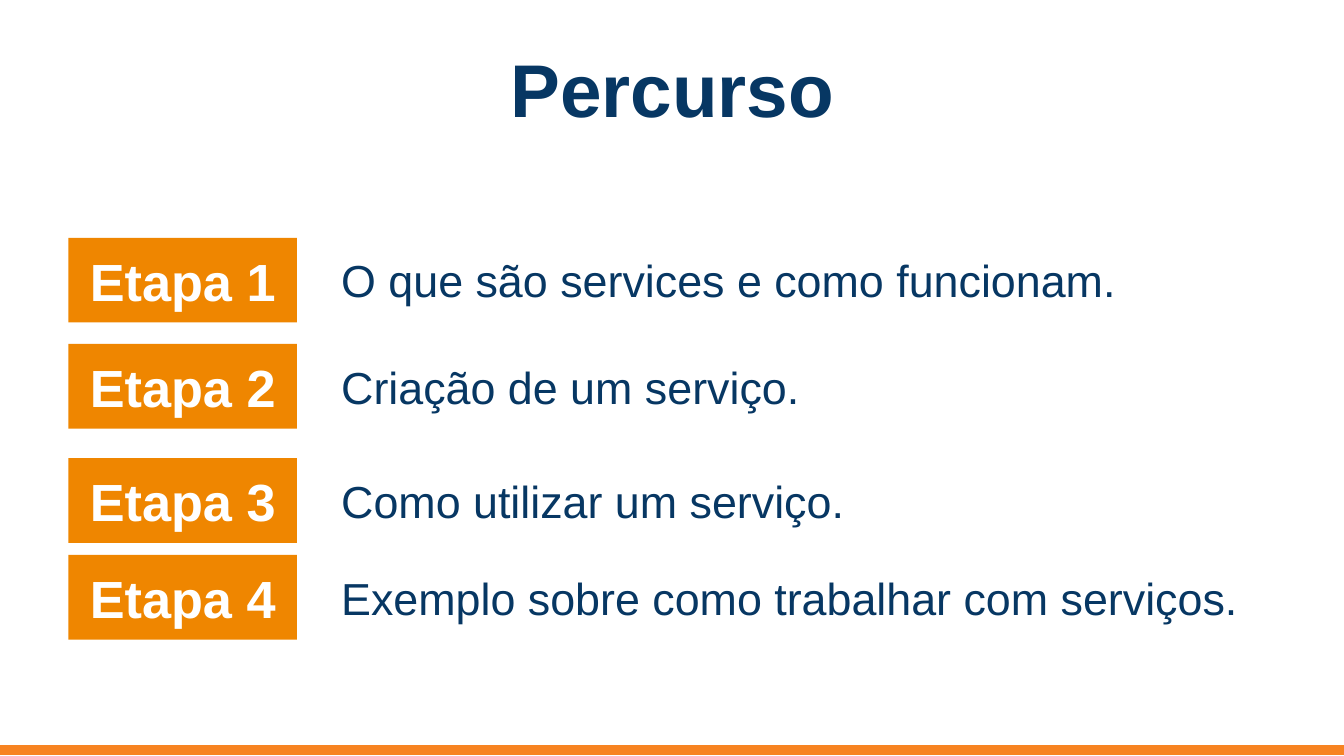
from pptx import Presentation
from pptx.dml.color import RGBColor
from pptx.enum.shapes import MSO_SHAPE
from pptx.enum.text import MSO_ANCHOR, PP_ALIGN
from pptx.util import Inches, Pt

RECTANGLE = MSO_SHAPE.RECTANGLE
MIDDLE, TOP = MSO_ANCHOR.MIDDLE, MSO_ANCHOR.TOP
CENTER, LEFT = PP_ALIGN.CENTER, PP_ALIGN.LEFT

FONT = "Arial"
COLORS = {"navy": "073763", "label": "EF8600", "footer": "F78321", "white": "FFFFFF"}

# A 16:9 slide with a label column and a description column, one row per step
WIDTH = 10
HEIGHT = WIDTH * 9 / 16
LABEL_LEFT, LABEL_WIDTH, LABEL_HEIGHT = 0.51, 1.7, 0.63
TEXT_LEFT, TEXT_WIDTH, TEXT_HEIGHT = 2.44, 7.18, 0.5
STEPS = [
    (1.77, "O que são services e como funcionam."),
    (2.56, "Criação de um serviço."),
    (3.41, "Como utilizar um serviço."),
    (4.13, "Exemplo sobre como trabalhar com serviços."),
]


def color(name):
    return RGBColor.from_string(COLORS[name])


def write(shape, text, size, color_name, bold=False, align=LEFT, anchor=TOP, inset=0.05):
    frame = shape.text_frame
    frame.text = text
    frame.word_wrap = True
    frame.vertical_anchor = anchor
    frame.margin_left = frame.margin_right = Inches(0.1)
    frame.margin_top = frame.margin_bottom = Inches(inset)
    paragraph = frame.paragraphs[0]
    paragraph.alignment = align
    font = paragraph.runs[0].font
    font.name, font.size, font.bold = FONT, Pt(size), bold
    font.color.rgb = color(color_name)


def add_title(slide, text):
    title = slide.shapes.title
    title.left, title.top = Inches(0.34), Inches(0.33)
    title.width, title.height = Inches(9.32), Inches(0.65)
    write(title, text, 40, "navy", True, CENTER, MIDDLE, 0.1)


def add_bar(slide, left, top, width, height, color_name):
    bar = slide.shapes.add_shape(
        RECTANGLE, Inches(left), Inches(top), Inches(width), Inches(height))
    bar.shadow.inherit = False
    bar.fill.solid()
    bar.fill.fore_color.rgb = color(color_name)
    bar.line.fill.background()
    return bar


def add_step(slide, number, top, description):
    label = add_bar(slide, LABEL_LEFT, top, LABEL_WIDTH, LABEL_HEIGHT, "label")
    write(label, f"Etapa {number}", 28, "white", True, CENTER, MIDDLE, 0.1)

    # Description centred on its label
    text_top = top + (LABEL_HEIGHT - TEXT_HEIGHT) / 2
    box = slide.shapes.add_textbox(
        Inches(TEXT_LEFT), Inches(text_top), Inches(TEXT_WIDTH), Inches(TEXT_HEIGHT))
    write(box, description, 24, "navy")


def main():
    deck = Presentation()
    deck.slide_width, deck.slide_height = Inches(WIDTH), Inches(HEIGHT)
    slide = deck.slides.add_slide(deck.slide_layouts[5])

    add_title(slide, "Percurso")

    # Footer stripe
    footer = add_bar(slide, 0, 5.55, WIDTH, 0.06, "footer")
    footer.line.color.rgb = color("footer")
    footer.line.width = Pt(0.75)

    # Steps
    for number, (top, description) in enumerate(STEPS, start=1):
        add_step(slide, number, top, description)

    deck.save("out.pptx")


if __name__ == "__main__":
    main()
